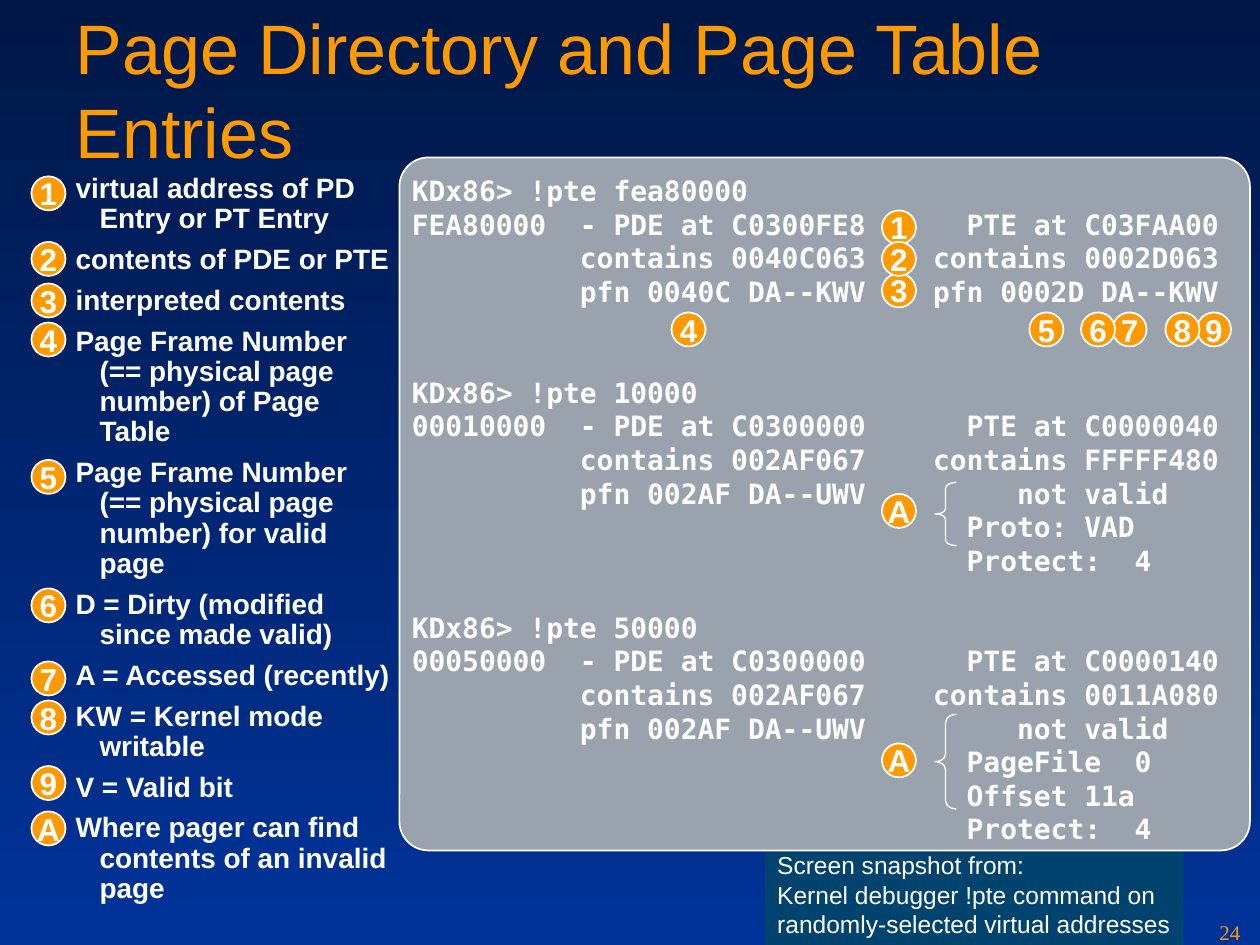
import pptx
import pptx.util
import pptx.dml.color
import pptx.enum.shapes
import pptx.enum.text
import pptx.oxml.ns
import lxml.etree

Inches, Pt = pptx.util.Inches, pptx.util.Pt
SHAPE = pptx.enum.shapes.MSO_SHAPE
ALIGN = pptx.enum.text.PP_ALIGN
ANCHOR = pptx.enum.text.MSO_ANCHOR

COLORS = {"night": "001746", "blue": "003399", "orange": "FE9900", "marker": "FF9900",
          "teal": "00436E", "grey": "9AA3AD", "white": "FFFFFF"}
TITLE = "Page Directory and Page Table Entries"
LEGEND = [
    ("1", 1.4, "virtual address of PD Entry or PT Entry"),
    ("2", 1.92, "contents of PDE or PTE"),
    ("3", 2.25, "interpreted contents"),
    ("4", 2.56, "Page Frame Number (== physical page number) of Page Table"),
    ("5", 3.65, "Page Frame Number (== physical page number) for valid page"),
    ("6", 4.67, "D = Dirty (modified since made valid)"),
    ("7", 5.25, "A = Accessed (recently)"),
    ("8", 5.56, "KW = Kernel mode writable"),
    ("9", 6.08, "V = Valid bit"),
    ("A", 6.44, "Where pager can find contents of an invalid page"),
]
LISTINGS = [
    (0, ["KDx86> !pte fea80000",
         "FEA80000  - PDE at C0300FE8      PTE at C03FAA00",
         "          contains 0040C063    contains 0002D063",
         "          pfn 0040C DA--KWV    pfn 0002D DA--KWV"]),
    (2, ["KDx86> !pte 10000",
         "00010000  - PDE at C0300000      PTE at C0000040",
         "          contains 002AF067    contains FFFFF480",
         "          pfn 002AF DA--UWV         not valid",
         "                                 Proto: VAD",
         "                                 Protect:  4"]),
    (1, ["KDx86> !pte 50000",
         "00050000  - PDE at C0300000      PTE at C0000140",
         "          contains 002AF067    contains 0011A080",
         "          pfn 002AF DA--UWV         not valid",
         "                                 PageFile  0",
         "                                 Offset 11a",
         "                                 Protect:  4"]),
]
NOTE = ["Screen snapshot from:", "Kernel debugger !pte command on",
        "randomly-selected virtual addresses"]
PAGE_NUMBER = "24"
CALLOUTS = [("1", 7, 1.67), ("3", 7, 2.17), ("2", 7, 1.92), ("9", 9.5, 2.48),
            ("8", 9.25, 2.48), ("7", 8.83, 2.48), ("6", 8.58, 2.48), ("4", 5.33, 2.48),
            ("5", 8.17, 2.48), ("A", 7, 3.92), ("A", 7, 5.9)]
BRACES = [(3.83, 0.5), (5.67, 0.75)]
BRACE_WIDTH, MARKER_SIZE, LINE_RATIO = 0.17, 0.27, 1.2


def rgb(name):
    return pptx.dml.color.RGBColor.from_string(COLORS[name])


def write(frame, lines, size, color="white", font="Arial", bold=False, align=ALIGN.LEFT,
          wrap=False, anchor=ANCHOR.TOP, leading=LINE_RATIO, gaps=None, hanging=None):
    frame.word_wrap = wrap
    frame.auto_size = pptx.enum.text.MSO_AUTO_SIZE.NONE
    frame.vertical_anchor = anchor
    for index, line in enumerate(lines):
        paragraph = frame.paragraphs[0] if index == 0 else frame.add_paragraph()
        paragraph.alignment = align
        paragraph.line_spacing = Pt(size * leading)
        paragraph.space_before = Pt(gaps[index] if gaps else 0)
        if hanging:
            properties = paragraph.runs and None or paragraph._p.get_or_add_pPr()
            properties.set("marL", str(Inches(hanging)))
            properties.set("indent", str(-Inches(hanging)))
            lxml.etree.SubElement(properties, pptx.oxml.ns.qn("a:buNone"))
        run = paragraph.add_run()
        run.text = line
        run.font.size, run.font.name, run.font.bold = Pt(size), font, bold
        run.font.color.rgb = rgb(color)


def add_shape(slide, kind, box, fill=None, line_width=None):
    shape = slide.shapes.add_shape(kind, *map(Inches, box))
    shape.shadow.inherit = False
    if fill:
        shape.fill.solid()
        shape.fill.fore_color.rgb = rgb(fill)
    else:
        shape.fill.background()
    if line_width:
        shape.line.color.rgb = rgb("white")
        shape.line.width = Pt(line_width)
    else:
        shape.line.fill.background()
    return shape


def add_marker(slide, label, left, top):
    marker = add_shape(slide, SHAPE.OVAL, (left, top, MARKER_SIZE, MARKER_SIZE), "marker", 1)
    write(marker.text_frame, [label], 18, bold=True, align=ALIGN.CENTER, anchor=ANCHOR.MIDDLE)


def place(shape, *box):
    shape.left, shape.top, shape.width, shape.height = map(Inches, box)
    return shape.text_frame


def main():
    """Build the page table entries slide."""
    deck = pptx.Presentation()
    deck.slide_width, deck.slide_height = Inches(10), Inches(7.5)
    slide = deck.slides.add_slide(deck.slide_layouts[1])
    backdrop = slide.background.fill
    backdrop.gradient()
    backdrop.gradient_angle = 270
    for stop, name in zip(backdrop.gradient_stops, ("night", "blue")):
        stop.color.rgb = rgb(name)

    title, legend = slide.placeholders
    write(place(title, 0.5, 0.08, 9, 1.25), [TITLE], 40, "orange", wrap=True,
          anchor=ANCHOR.MIDDLE)
    write(place(legend, 0.5, 1.33, 2.75, 5.89), [text for _, _, text in LEGEND], 16, bold=True,
          wrap=True, leading=LINE_RATIO * 0.9, gaps=[0] + [6] * (len(LEGEND) - 1), hanging=0.19)

    note = add_shape(slide, SHAPE.RECTANGLE, (6.07, 6.7, 3.32, 0.8), "teal")
    write(note.text_frame, NOTE, 14)
    panel = add_shape(slide, SHAPE.ROUNDED_RECTANGLE, (3.17, 1.25, 6.75, 5.5), "grey", 1)
    panel.adjustments[0] = 0.042

    code_size = 16
    code = slide.shapes.add_textbox(*map(Inches, (3.17, 1.33, 6.58, 3.88)))
    gaps = [skipped * code_size * LINE_RATIO if row == 0 else 0
            for skipped, lines in LISTINGS for row in range(len(lines))]
    write(code.text_frame, [line for _, lines in LISTINGS for line in lines], code_size,
          font="DejaVu Sans Mono", bold=True, gaps=gaps)

    for label, left, top in CALLOUTS:
        add_marker(slide, label, left, top)
    for top, height in BRACES:
        brace = add_shape(slide, SHAPE.LEFT_BRACE, (7.42, top, BRACE_WIDTH, height),
                          line_width=0.75)
        brace.adjustments[0] = height / 12 / BRACE_WIDTH
    for label, top, _ in LEGEND:
        add_marker(slide, label, 0.25, top)

    number = slide.shapes.add_textbox(*map(Inches, (9.58, 7.25, 0.42, 0.25)))
    write(number.text_frame, [PAGE_NUMBER], 12, "orange", "Times New Roman", wrap=True)
    deck.save("out.pptx")


if __name__ == "__main__":
    main()
